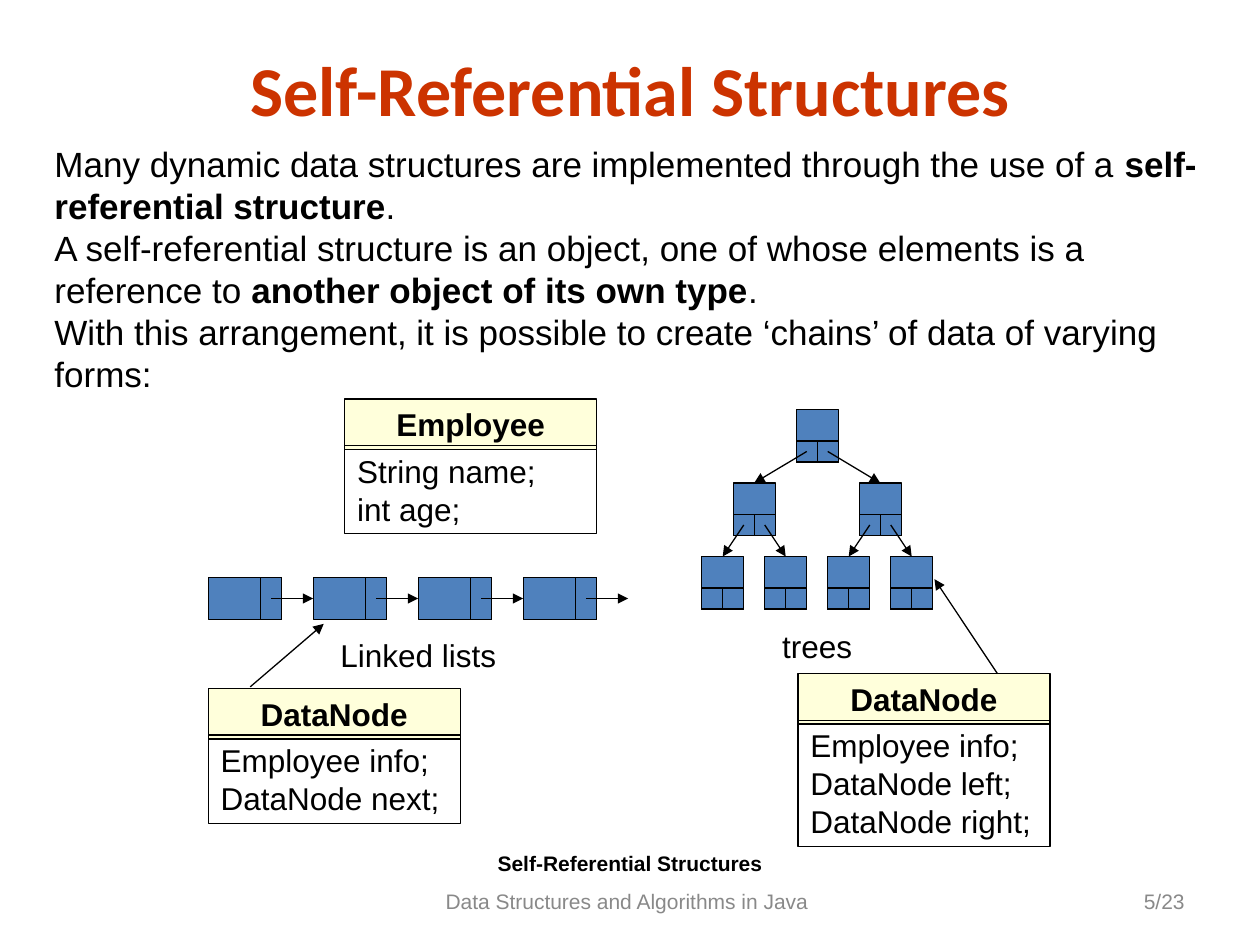
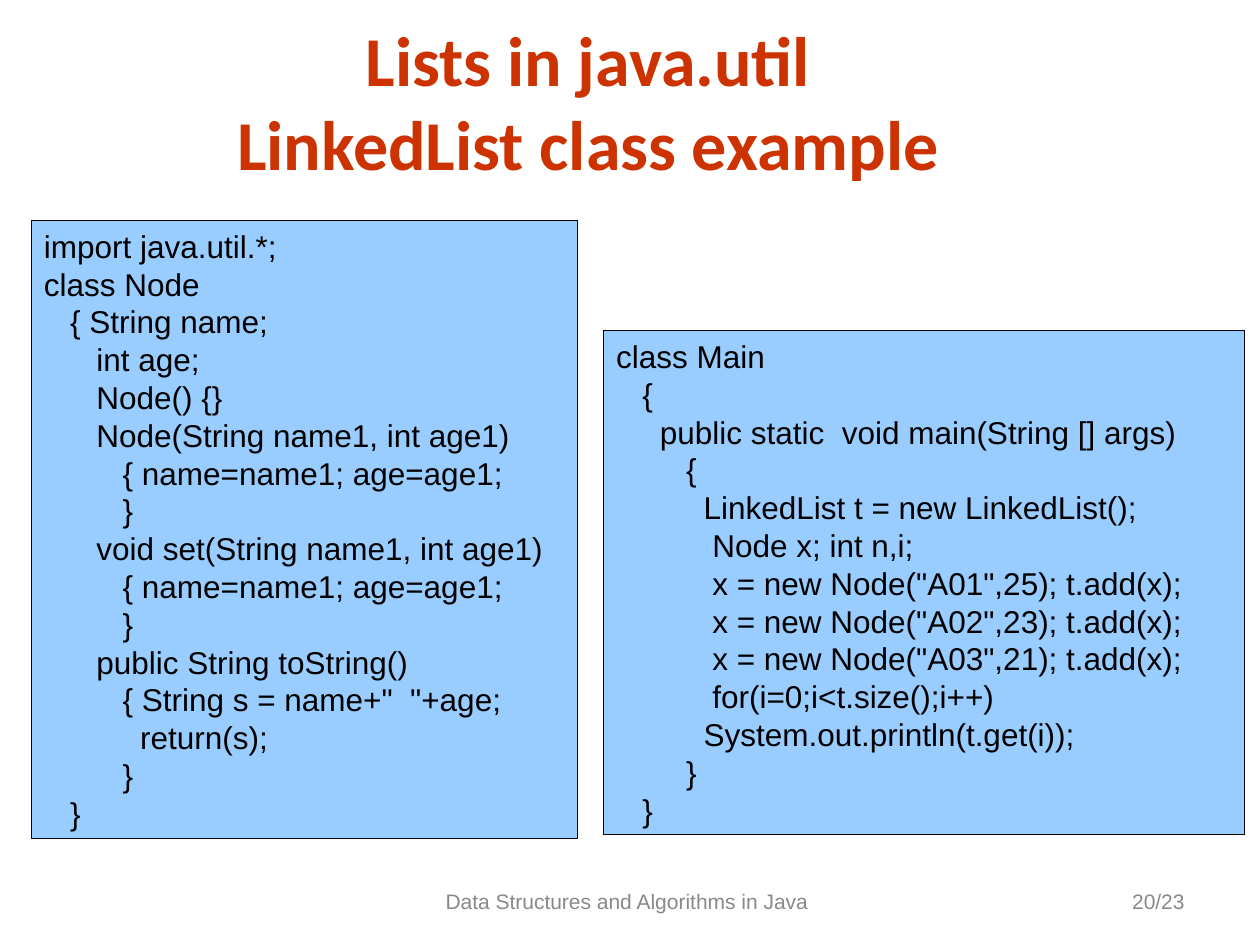
from dataclasses import dataclass
from typing import Optional

from lxml import etree
from pptx import Presentation
from pptx.dml.color import RGBColor
from pptx.enum.shapes import MSO_CONNECTOR, MSO_SHAPE
from pptx.enum.text import MSO_ANCHOR, PP_ALIGN
from pptx.oxml.ns import qn
from pptx.shapes.autoshape import Shape
from pptx.slide import Slide
from pptx.util import Pt

RECTANGLE = MSO_SHAPE.RECTANGLE
STRAIGHT = MSO_CONNECTOR.STRAIGHT
LEFT, CENTER, RIGHT = PP_ALIGN.LEFT, PP_ALIGN.CENTER, PP_ALIGN.RIGHT
TOP, MIDDLE = MSO_ANCHOR.TOP, MSO_ANCHOR.MIDDLE
TOP_SIDE, LEFT_SIDE = 0, 1

COLORS = {
    "title": "CC3300",
    "text": "000000",
    "footer": "898989",
    "node": "4F81BD",
    "card": "FFFF99",
    "code": "99CCFF",
}
LINE_WIDTH = 0.75
SPACE_WIDTH = 5  # one Arial space at 18 pt
LINE_HEIGHT = 21.6
PADDING = 7.2  # upper and lower inset of a text frame together

FOOTER = "Data Structures and Algorithms in Java "
PAGE_COUNT = 23


@dataclass(frozen=True)
class Box:
    x: float
    y: float
    w: float
    h: float


@dataclass(frozen=True)
class ClassCard:
    x: float
    y: float
    name: str
    fields: list[str]


@dataclass(frozen=True)
class CodePanel:
    box: Box
    source: str


# Content
INTRO = [
    "Many dynamic data structures are implemented through the use of a "
    "**self-referential structure**.",
    "A self-referential structure is an object, one of whose elements is a "
    "reference to **another object of its own type**.",
    "With this arrangement, it is possible to create ‘chains’ of data of "
    "varying forms:",
]

CLASS_CARDS = [
    ClassCard(119, 393.5, "DataNode", ["Employee info;", "DataNode next;"]),
    ClassCard(197, 228, "Employee", ["String name;", "int age;"]),
    ClassCard(456, 385, "DataNode",
              ["Employee info;", "DataNode left;", "DataNode right;"]),
]

CODE_PANELS = [
    CodePanel(Box(18, 126, 312, 353), """\
import java.util.*;
class Node
   { String name;
      int age;
      Node() {}
      Node(String name1, int age1)
         { name=name1; age=age1;
         }
      void set(String name1, int age1)
         { name=name1; age=age1;
         }
      public String toString()
         { String s = name+"  "+age;
           return(s);
         }
   }"""),
    CodePanel(Box(345, 189, 366, 288), """\
class Main
   {
     public static  void main(String [] args)
        {
          LinkedList t = new LinkedList();
           Node x; int n,i;
           x = new Node("A01",25); t.add(x);
           x = new Node("A02",23); t.add(x);
           x = new Node("A03",21); t.add(x);
           for(i=0;i<t.size();i++)
          System.out.println(t.get(i));
        }
   }"""),
]


# Drawing tools
def rgb(name: str) -> RGBColor:
    return RGBColor.from_string(COLORS[name])


def write_text(shape: Shape, lines: list[str], *, size: float = 18,
               font: str = "Arial", color: str = "text", bold: bool = False,
               align: PP_ALIGN = LEFT, anchor: MSO_ANCHOR = TOP) -> None:
    """Write one paragraph per line; ** marks bold, leading spaces indent."""
    frame = shape.text_frame
    frame.word_wrap = True
    frame.vertical_anchor = anchor
    for index, line in enumerate(lines):
        paragraph = frame.add_paragraph() if index else frame.paragraphs[0]
        paragraph.alignment = align
        words = line.lstrip()
        indent = len(line) - len(words)
        if indent:
            properties = paragraph._p.get_or_add_pPr()
            properties.set("marL", str(Pt(indent * SPACE_WIDTH)))
            properties.set("indent", "0")
        for part, content in enumerate(words.split("**")):
            run = paragraph.add_run()
            run.text = content
            run.font.size = Pt(size)
            run.font.name = font
            run.font.bold = bold or part % 2 == 1
            run.font.color.rgb = rgb(color)


def add_label(slide: Slide, box: Box, lines: list[str], **text_format) -> None:
    label = slide.shapes.add_textbox(Pt(box.x), Pt(box.y), Pt(box.w), Pt(box.h))
    write_text(label, lines, **text_format)


def add_rectangle(slide: Slide, box: Box, fill: Optional[str] = None,
                  opacity: int = 100) -> Shape:
    rectangle = slide.shapes.add_shape(
        RECTANGLE, Pt(box.x), Pt(box.y), Pt(box.w), Pt(box.h))
    rectangle.shadow.inherit = False
    rectangle.line.color.rgb = rgb("text")
    rectangle.line.width = Pt(LINE_WIDTH)
    if fill is None:
        rectangle.fill.background()
        return rectangle
    rectangle.fill.solid()
    rectangle.fill.fore_color.rgb = rgb(fill)
    if opacity < 100:
        color = rectangle._element.spPr.find(f"{qn('a:solidFill')}/{qn('a:srgbClr')}")
        etree.SubElement(color, qn("a:alpha"), val=str(opacity * 1000))
    return rectangle


def add_arrow(slide: Slide, start: tuple[float, float], end: tuple[float, float],
              target: Optional[Shape] = None, side: int = TOP_SIDE) -> None:
    arrow = slide.shapes.add_connector(STRAIGHT, *map(Pt, start + end))
    arrow.line.color.rgb = rgb("text")
    arrow.line.width = Pt(LINE_WIDTH)
    etree.SubElement(arrow.line._get_or_add_ln(), qn("a:tailEnd"), type="triangle")
    etree.SubElement(arrow._element.spPr, qn("a:effectLst"))
    if target is not None:
        arrow.end_connect(target, side)


# Parts shared by the slides
def add_page(deck: Presentation, title: list[str], title_box: Box,
             number: int) -> Slide:
    slide = deck.slides.add_slide(deck.slide_layouts[6])
    footer = {"size": 12, "color": "footer", "anchor": MIDDLE}
    add_label(slide, Box(228, 500.5, 264, 28.8), [FOOTER], align=CENTER, **footer)
    add_label(slide, Box(516, 500.5, 168, 28.8), [f"{number}/{PAGE_COUNT}"],
              align=RIGHT, **footer)
    add_label(slide, title_box, title, size=40, font="Calibri", color="title",
              bold=True, align=CENTER, anchor=MIDDLE)
    return slide


# Diagram parts
def add_class_card(slide: Slide, card: ClassCard) -> None:
    width, body_offset = 144, 26.6
    header = add_rectangle(
        slide, Box(card.x, card.y, width, PADDING + LINE_HEIGHT), "card", 35)
    write_text(header, [card.name], bold=True, align=CENTER)
    body_height = PADDING + LINE_HEIGHT * len(card.fields)
    body = add_rectangle(
        slide, Box(card.x, card.y + body_offset, width, body_height))
    write_text(body, card.fields)


def add_linked_list(slide: Slide, x: float, y: float, count: int) -> None:
    width, height, cell, pitch = 42, 24, 12, 60
    lefts = [x + pitch * i for i in range(count)]
    nodes = []
    for left in lefts:
        nodes.append(add_rectangle(slide, Box(left, y, width, height), "node"))
        add_rectangle(slide, Box(left + width - cell, y, cell, height), "node")
    middle = y + height / 2
    for left, following in zip(lefts, nodes[1:] + [None]):
        add_arrow(slide, (left + width - cell / 2, middle), (left + pitch, middle),
                  following, LEFT_SIDE)


def add_tree(slide: Slide, center: float, y: float, spreads: list[float]) -> Shape:
    """Draw a node and its subtrees; spreads holds the child offset per level."""
    width, height, cell, level_pitch = 24, 30, 12, 42
    node = add_rectangle(slide, Box(center - width / 2, y, width, height), "node")
    for cell_x in (center - cell, center):
        add_rectangle(slide, Box(cell_x, y + height - cell, cell, cell), "node")
    if spreads:
        for side in (-1, 1):
            child_x, child_y = center + side * spreads[0], y + level_pitch
            child = add_tree(slide, child_x, child_y, spreads[1:])
            add_arrow(slide, (center + side * cell / 2, y + height - cell / 2),
                      (child_x, child_y), child, TOP_SIDE)
    return node


# Slides
def add_structures_slide(deck: Presentation) -> None:
    title = "Self-Referential Structures"
    slide = add_page(deck, [title], Box(36, 23, 648, 55.5), 5)
    add_label(slide, Box(24, 78, 672, 151), INTRO, size=20)

    add_tree(slide, 467, 234, [36, 18])
    add_label(slide, Box(401, 355, 132, 28.8), ["trees"], align=CENTER)
    add_linked_list(slide, 119, 330, 4)
    add_label(slide, Box(119, 360, 240, 28.8), ["Linked lists"], align=CENTER)

    for card in CLASS_CARDS:
        add_class_card(slide, card)
    add_arrow(slide, (143, 392.5), (185, 356.5))
    add_arrow(slide, (570, 385), (534, 331))
    add_label(slide, Box(276, 482.5, 168, 21.6), [title], size=12, bold=True,
              align=CENTER)


def add_list_example_slide(deck: Presentation) -> None:
    slide = add_page(deck, ["Lists in java.util", "LinkedList class example"],
                     Box(36, 6, 600, 103), 20)
    for panel in CODE_PANELS:
        write_text(add_rectangle(slide, panel.box, "code"),
                   panel.source.splitlines())


def main() -> None:
    deck = Presentation()
    deck.slide_width, deck.slide_height = Pt(720), Pt(540)
    add_structures_slide(deck)
    add_list_example_slide(deck)
    deck.save("out.pptx")


if __name__ == "__main__":
    main()
